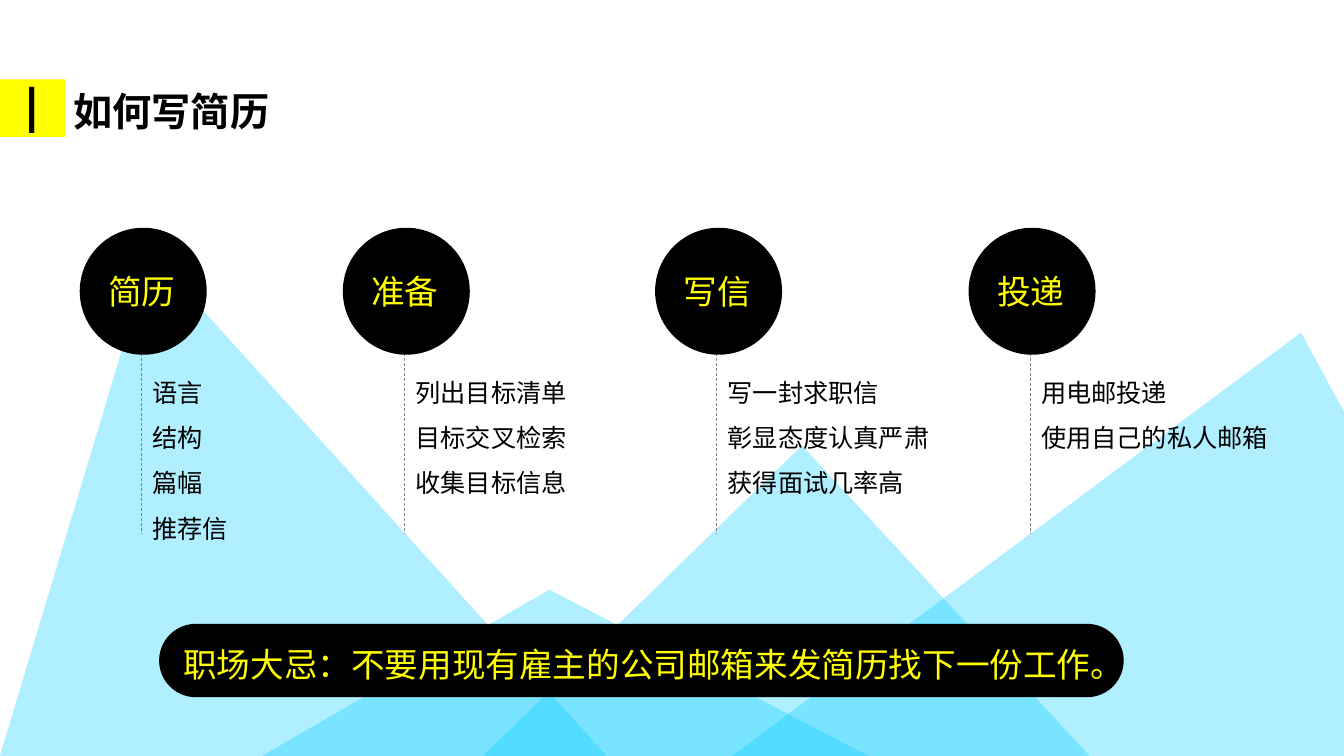
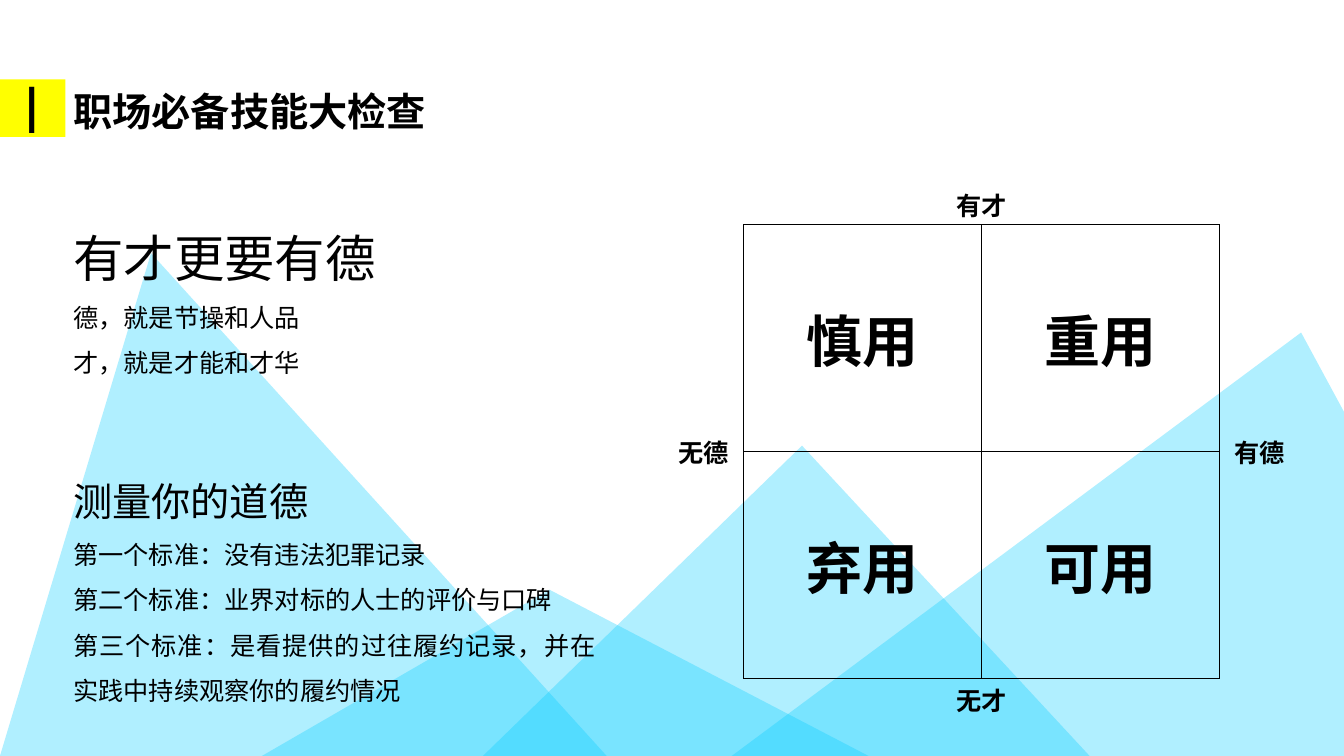
from lxml import etree
from pptx import Presentation
from pptx import util as u
from pptx.dml.color import RGBColor
from pptx.enum import dml, shapes, text
from pptx.oxml import ns

Cm, Pt = u.Cm, u.Pt
BLACK, YELLOW, SKY, GREY = "000000", "FFFF00", "00CCFF", "808080"
FONT, TITLE_FONT, MARK_FONT = "Noto Sans CJK SC", "Calibri", "Arial Narrow"
LEFT, CENTER, JUSTIFY = text.PP_ALIGN.LEFT, text.PP_ALIGN.CENTER, text.PP_ALIGN.JUSTIFY
MIDDLE = text.MSO_ANCHOR.MIDDLE
NO_TABLE_STYLE = "{2D5ABB26-0587-4C30-8999-92F81FD0307C}"


def paint(fill, colour):
    fill.solid()
    fill.fore_color.rgb = RGBColor.from_string(colour)


def write(frame, lines, align=JUSTIFY, spacing=1.0, colour=BLACK, font=FONT, bold=False):
    """Fill a text frame with (text, size) lines, one paragraph each."""
    frame.word_wrap = True
    for number, (words, size) in enumerate(lines):
        paragraph = frame.add_paragraph() if number else frame.paragraphs[0]
        paragraph.alignment = align
        paragraph.line_spacing = spacing
        paragraph.space_before = Pt(0)
        run = paragraph.add_run()
        run.text = words
        run.font.size = Pt(size)
        run.font.bold = bold
        run.font.name = font
        paint(run.font.fill, colour)
        latin = run.font._element.find(ns.qn("a:latin"))
        latin.addnext(latin.makeelement(ns.qn("a:ea"), {"typeface": FONT}))


presentation = Presentation()
presentation.slide_width, presentation.slide_height = Cm(33.87), Cm(19.05)

# Shared look: mountains, yellow band, mark and title
mountains = [  # left, top, width, height, peak position
    (0, 6.38, 15.29, 12.67, 0.249),
    (12.17, 11.23, 15.29, 7.82, 0.526),
    (6.6, 14.86, 15.29, 4.19, 0.474),
]
slides = []
for heading in ["如何写简历", "职场必备技能大检查"]:
    slide = presentation.slides.add_slide(presentation.slide_layouts[5])
    slides.append(slide)

    peaks = []
    for left, top, width, height, peak in mountains:
        shape = slide.shapes.add_shape(
            shapes.MSO_SHAPE.ISOSCELES_TRIANGLE, Cm(left), Cm(top), Cm(width), Cm(height))
        shape.adjustments[0] = peak
        peaks.append(shape)
    builder = slide.shapes.build_freeform(Cm(18.44), Cm(19.05))
    builder.add_line_segments([(Cm(32.79), Cm(8.38)), (Cm(38.56), Cm(19.05))], close=True)
    peaks.append(builder.convert_to_shape())
    for shape in peaks:
        shape.shadow.inherit = False
        shape.line.fill.background()
        paint(shape.fill, SKY)
        colour_node = shape.element.spPr.find(".//" + ns.qn("a:srgbClr"))
        etree.SubElement(colour_node, ns.qn("a:alpha"), val="31000")

    band = slide.shapes.add_shape(shapes.MSO_SHAPE.RECTANGLE, 0, Cm(2), Cm(1.65), Cm(1.45))
    band.shadow.inherit = False
    band.line.fill.background()
    paint(band.fill, YELLOW)
    mark = slide.shapes.add_textbox(0, Cm(1.78), Cm(1.6), Cm(1.47))
    write(mark.text_frame, [("I", 48)], CENTER, 0.9, font=MARK_FONT)

    title = slide.shapes.title
    title.left, title.top, title.width, title.height = Cm(1.6), Cm(2.13), Cm(30.96), Cm(1.45)
    title.text_frame.vertical_anchor = MIDDLE
    title.text_frame.auto_size = text.MSO_AUTO_SIZE.NONE
    write(title.text_frame, [(heading, 28)], LEFT, 0.9, font=TITLE_FONT, bold=True)
    band.element.addnext(title.element)

resume_slide, skills_slide = slides

# Slide 1: four steps, each a circle with a dashed line and a list
steps = [  # left, list width, name, list
    (2.01, 2.57, "简历", ["语言", "结构", "篇幅", "推荐信"]),
    (8.64, 4.67, "准备", ["列出目标清单", "目标交叉检索", "收集目标信息"]),
    (16.51, 5.8, "写信", ["写一封求职信", "彰显态度认真严肃", "获得面试几率高"]),
    (24.41, 7.16, "投递", ["用电邮投递", "使用自己的私人邮箱"]),
]
for left, width, name, items in steps:
    line_x = Cm(left + 1.55)
    line = resume_slide.shapes.add_connector(
        shapes.MSO_CONNECTOR.STRAIGHT, line_x, Cm(6.38), line_x, Cm(13.44))
    paint(line.line.fill, GREY)
    line.line.width = Pt(0.5)
    line.line.dash_style = dml.MSO_LINE.DASH
    etree.SubElement(line.element.spPr, ns.qn("a:effectLst"))

    circle = resume_slide.shapes.add_shape(
        shapes.MSO_SHAPE.OVAL, Cm(left), Cm(5.74), Cm(3.2), Cm(3.2))
    circle.shadow.inherit = False
    circle.line.fill.background()
    paint(circle.fill, BLACK)
    circle.text_frame.vertical_anchor = MIDDLE
    write(circle.text_frame, [(name, 24)], colour=YELLOW)

    box = resume_slide.shapes.add_textbox(
        Cm(left + 1.58), Cm(8.99), Cm(width), Cm(0.3 + 1.14 * len(items)))
    write(box.text_frame, [(item, 18) for item in items], spacing=1.5)

# Slide 1: warning at the bottom
pill = resume_slide.shapes.add_shape(
    shapes.MSO_SHAPE.ROUNDED_RECTANGLE, Cm(4.01), Cm(15.72), Cm(24.31), Cm(1.85))
pill.adjustments[0] = 0.5
pill.shadow.inherit = False
pill.line.fill.background()
paint(pill.fill, BLACK)
warning = resume_slide.shapes.add_textbox(Cm(4.37), Cm(15.9), Cm(26.82), Cm(1.5))
write(warning.text_frame, [("职场大忌：不要用现有雇主的公司邮箱来发简历找下一份工作。", 24)],
      spacing=1.2, colour=YELLOW)

# Slide 2: two text blocks
blocks = [  # top, width, height, lines
    (4.83, 11.18, 4.88, [
        ("有才更要有德", 36), ("德，就是节操和人品", 18), ("才，就是才能和才华", 18)]),
    (11.3, 13.67, 6.68, [
        ("测量你的道德", 28),
        ("第一个标准：没有违法犯罪记录", 18),
        ("第二个标准：业界对标的人士的评价与口碑", 18),
        ("第三个标准：是看提供的过往履约记录，并在实践中持续观察你的履约情况", 18)]),
]
for top, width, height, lines in blocks:
    box = skills_slide.shapes.add_textbox(Cm(1.6), Cm(top), Cm(width), Cm(height))
    write(box.text_frame, lines, spacing=1.5)

# Slide 2: talent and virtue matrix
table_shape = skills_slide.shapes.add_table(4, 4, Cm(16.74), Cm(4.62), Cm(16), Cm(13.52))
table = table_shape.table
table.first_row = table.horz_banding = False
table_shape.element.find(".//" + ns.qn("a:tableStyleId")).text = NO_TABLE_STYLE
for column, width in zip(table.columns, [2, 6, 6, 2]):
    column.width = Cm(width)
for row, height in zip(table.rows, [1.04, 5.72, 5.72, 1.04]):
    row.height = Cm(height)
for first, last in [((0, 1), (0, 2)), ((3, 1), (3, 2)), ((1, 0), (2, 0)), ((1, 3), (2, 3))]:
    table.cell(*first).merge(table.cell(*last))

labels = {  # row and column: text, size, bordered edges
    (0, 1): ("有才", 18, "B"), (3, 1): ("无才", 18, "T"),
    (1, 0): ("无德", 18, "R"), (1, 3): ("有德", 18, "L"),
    (1, 1): ("慎用", 40, "LRTB"), (1, 2): ("重用", 40, "LRTB"),
    (2, 1): ("弃用", 40, "LRTB"), (2, 2): ("可用", 40, "LRTB"),
}
for cell in table.iter_cells():
    cell.margin_left = cell.margin_right = cell.margin_top = cell.margin_bottom = 0
    cell.vertical_anchor = MIDDLE
    cell.fill.background()
for position, (label, size, edges) in labels.items():
    cell = table.cell(*position)
    write(cell.text_frame, [(label, size)], CENTER, bold=True)
    properties = cell._tc.get_or_add_tcPr()
    for order, edge in enumerate(edges):
        border = properties.makeelement(ns.qn("a:ln" + edge), {"w": str(Pt(1))})
        solid = etree.SubElement(border, ns.qn("a:solidFill"))
        etree.SubElement(solid, ns.qn("a:srgbClr"), val=BLACK)
        properties.insert(order, border)

presentation.save("out.pptx")
